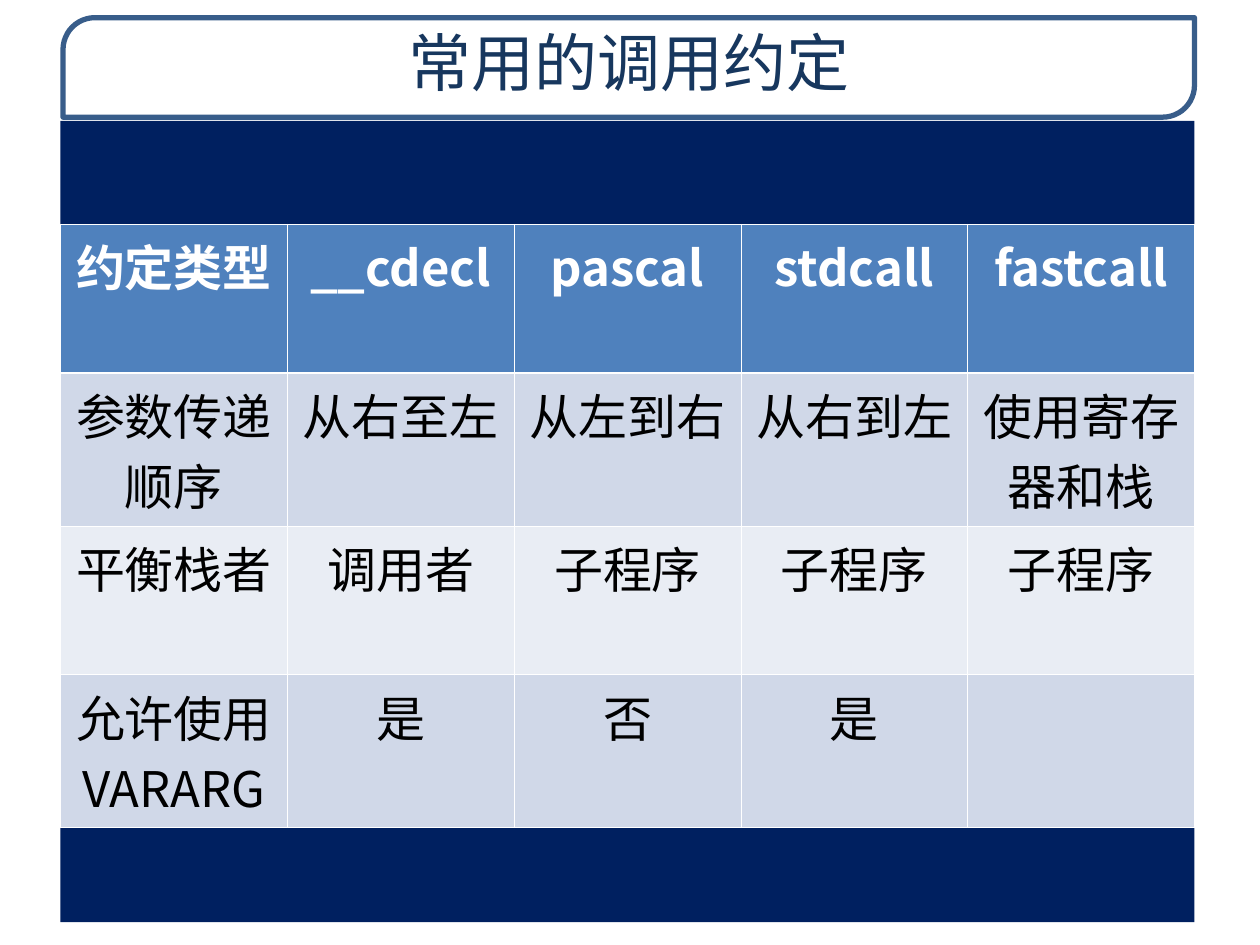
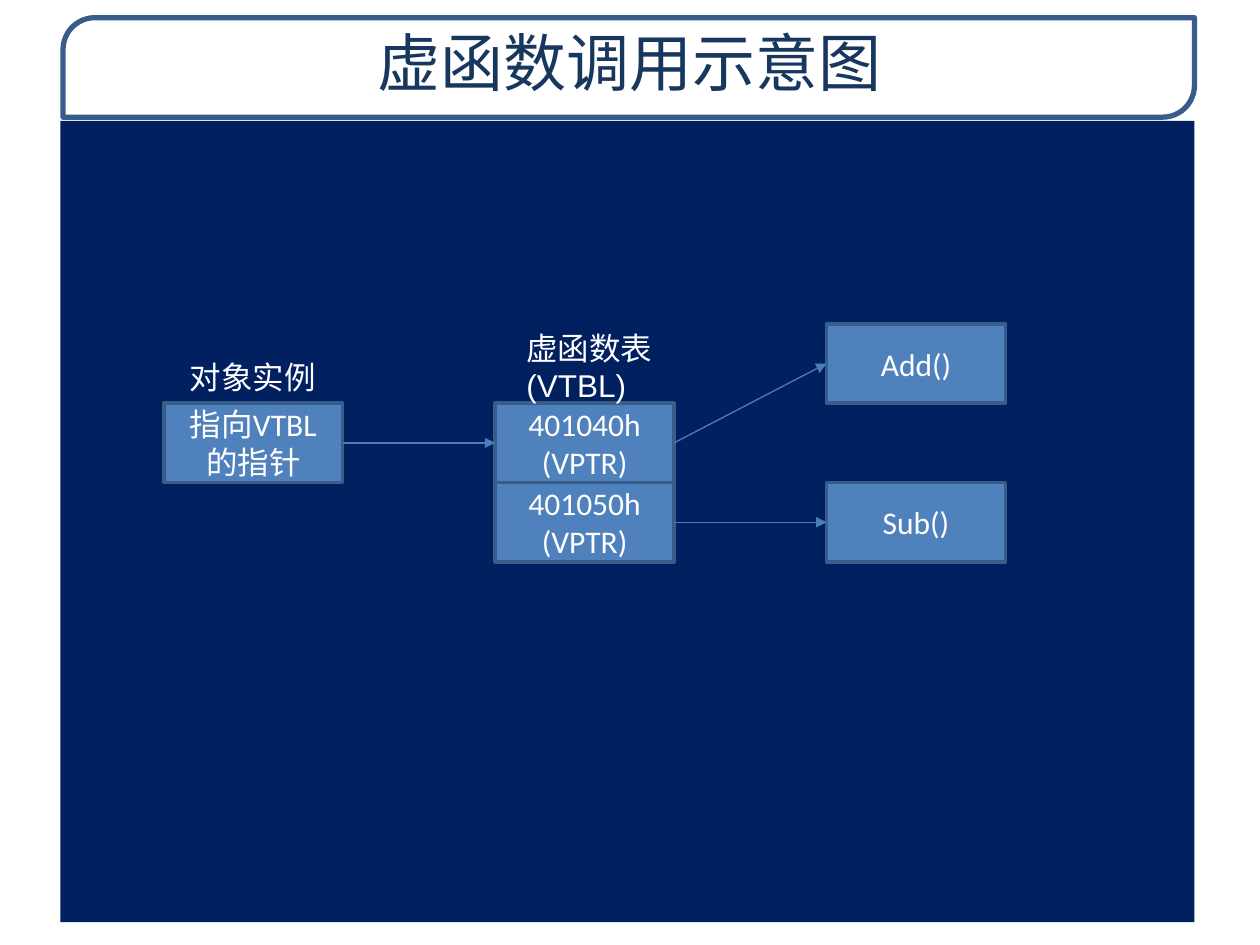
from collections import namedtuple

from lxml import etree
from pptx import Presentation
from pptx.dml.color import RGBColor
from pptx.enum.shapes import MSO_CONNECTOR, MSO_SHAPE
from pptx.enum.text import MSO_ANCHOR, MSO_AUTO_SIZE, PP_ALIGN
from pptx.oxml.ns import qn
from pptx.util import Inches, Pt

RECT, ROUND_DIAGONAL = MSO_SHAPE.RECTANGLE, MSO_SHAPE.ROUND_2_DIAG_RECTANGLE
STRAIGHT = MSO_CONNECTOR.STRAIGHT
TOP, MIDDLE = MSO_ANCHOR.TOP, MSO_ANCHOR.MIDDLE
LEFT, CENTER = PP_ALIGN.LEFT, PP_ALIGN.CENTER
LEFT_SIDE, RIGHT_SIDE = 1, 3

COLORS = {
    "white": "FFFFFF", "black": "000000", "navy": "002060",
    "title": "17375E", "blue": "4F81BD", "edge": "385D8A",
    "arrow": "4A7EBB", "band_dark": "D0D8E8", "band_light": "E9EDF4",
}
CJK_FONT = "Noto Sans CJK SC"

Box = namedtuple("Box", "left top width height")
TITLE_FRAME = Box(0.5, 0.14, 8.98, 0.79)
TITLE = Box(0.51, 0.14, 8.97, 0.76)
PANEL = Box(0.48, 0.96, 9, 6.36)

CONVENTIONS = [
    ["约定类型", "__cdecl", "pascal", "stdcall", "fastcall"],
    ["参数传递\n顺序", "从右至左", "从左到右", "从右到左", "使用寄存\n器和栈"],
    ["平衡栈者", "调用者", "子程序", "子程序", "子程序"],
    ["允许使用\nVARARG", "是", "否", "是", ""],
]


def rgb(name):
    return RGBColor.from_string(COLORS[name])


def inches(box):
    return [Inches(length) for length in box]


def format_text(frame, size, color, font, align=CENTER, bold=False):
    for paragraph in frame.paragraphs:
        paragraph.alignment = align
        for run in paragraph.runs:
            run.font.size, run.font.bold = Pt(size), bold
            run.font.name = font
            run.font.color.rgb = rgb(color)
            east_asian = etree.SubElement(run.font._element, qn("a:ea"))
            east_asian.set("typeface", CJK_FONT)


def add_block(slide, shape_type, box, fill, line=None, line_width=0):
    block = slide.shapes.add_shape(shape_type, *inches(box))
    block.shadow.inherit = False
    block.fill.solid()
    block.fill.fore_color.rgb = rgb(fill)
    if line:
        block.line.color.rgb = rgb(line)
        block.line.width = Pt(line_width)
    else:
        block.line.fill.background()
    return block


def add_base_slide(deck, heading):
    """Slide with framed title and navy panel."""
    slide = deck.slides.add_slide(deck.slide_layouts[5])
    frame = add_block(slide, ROUND_DIAGONAL, TITLE_FRAME, "white", "edge", 3)
    frame.adjustments[0] = 0.32
    add_block(slide, RECT, PANEL, "navy")

    title = slide.shapes.title
    title.left, title.top, title.width, title.height = inches(TITLE)
    text = title.text_frame
    text.text = heading
    text.auto_size = MSO_AUTO_SIZE.NONE
    text.vertical_anchor = TOP
    format_text(text, 36, "title", CJK_FONT)
    # Bring the title in front of its frame
    slide.shapes._spTree.append(title._element)
    return slide


def set_borders(cell, widths):
    properties = cell._tc.get_or_add_tcPr()
    for side, width in zip("LRTB", widths):
        line = etree.SubElement(properties, qn(f"a:ln{side}"), w=str(Pt(width)))
        fill = etree.SubElement(line, qn("a:solidFill"))
        etree.SubElement(fill, qn("a:srgbClr"), val=COLORS["white"])


def add_convention_table(slide, box):
    row_count, column_count = len(CONVENTIONS), len(CONVENTIONS[0])
    table = slide.shapes.add_table(row_count, column_count, *inches(box)).table
    table.first_row = table.horz_banding = False
    thin, thick = 0.45, 1.47
    for r, values in enumerate(CONVENTIONS):
        header = r == 0
        band = "blue" if header else "band_dark" if r % 2 else "band_light"
        for c, value in enumerate(values):
            cell = table.cell(r, c)
            set_borders(cell, (thin, thin, thick if r == 1 else thin,
                               thick if header else thin))
            cell.fill.solid()
            cell.fill.fore_color.rgb = rgb(band)
            cell.margin_left = cell.margin_right = Inches(0.08)
            cell.margin_top, cell.margin_bottom = Inches(0.33), Inches(0.05)
            cell.text_frame.text = value
            format_text(cell.text_frame, 28, "white" if header else "black",
                        CJK_FONT, bold=header)
            for i, paragraph in enumerate(cell.text_frame.paragraphs):
                paragraph.line_spacing = Pt(20)
                if i:
                    paragraph.space_before = Pt(20)


def add_arrow(slide, source, target):
    arrow = slide.shapes.add_connector(STRAIGHT, 0, 0, 0, 0)
    arrow.begin_connect(source, RIGHT_SIDE)
    arrow.end_connect(target, LEFT_SIDE)
    arrow.line.color.rgb = rgb("arrow")
    arrow.line.width = Pt(0.75)
    etree.SubElement(arrow.line._get_or_add_ln(), qn("a:tailEnd"), type="triangle")
    etree.SubElement(arrow._element.spPr, qn("a:effectLst"))


def add_virtual_call_diagram(slide, box):
    """Three columns of nodes on rows one node high."""
    node_width, node_height, column_pitch = 1.42, 0.63, 2.63
    origin_left, origin_top = box.left + 0.82, box.top + 1.61

    def add_node(column, row, words):
        place = Box(origin_left + column * column_pitch,
                    origin_top + row * node_height, node_width, node_height)
        node = add_block(slide, RECT, place, "blue", "edge", 2)
        node.text_frame.text = words
        node.text_frame.vertical_anchor = MIDDLE
        format_text(node.text_frame, 18, "white", "Calibri")
        return node

    def add_label(column, shift, top, height, words):
        place = Box(origin_left + column * column_pitch + shift,
                    origin_top + top, 1.2, height)
        label = slide.shapes.add_textbox(*inches(place)).text_frame
        label.text = words
        label.word_wrap = False
        format_text(label, 18, "white", "Arial", LEFT)

    # Nodes
    instance = add_node(0, 1, "指向VTBL的指针")
    add_entry = add_node(1, 1, "401040h\n(VPTR)")
    sub_entry = add_node(1, 2, "401050h\n(VPTR)")
    add_function = add_node(2, 0, "Add()")
    sub_function = add_node(2, 2, "Sub()")

    # Labels above the first two columns
    add_label(0, 0.11, 0.22, 0.4, "对象实例")
    add_label(1, 0.15, -0.01, 0.7, "虚函数表\n(VTBL)")

    # Call path
    for source, target in ((instance, add_entry), (sub_entry, sub_function),
                           (add_entry, add_function)):
        add_arrow(slide, source, target)


def main():
    deck = Presentation()
    deck.slide_width, deck.slide_height = Inches(10), Inches(7.5)

    conventions = add_base_slide(deck, "常用的调用约定")
    add_convention_table(
        conventions, Box(PANEL.left, PANEL.top + 0.82, PANEL.width, 4.72))

    virtual_calls = add_base_slide(deck, "虚函数调用示意图")
    add_virtual_call_diagram(virtual_calls, PANEL)

    deck.save("out.pptx")


if __name__ == "__main__":
    main()
